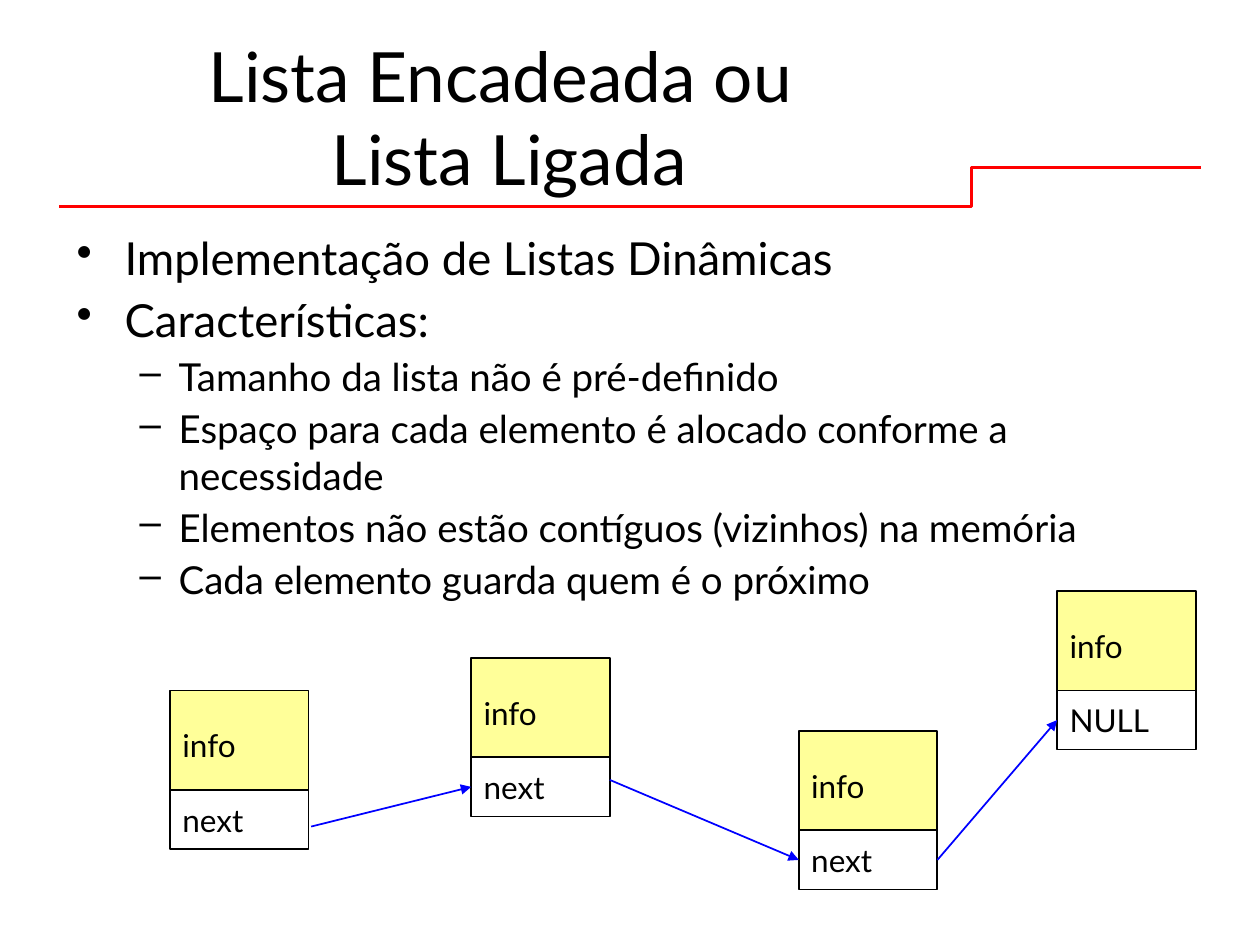
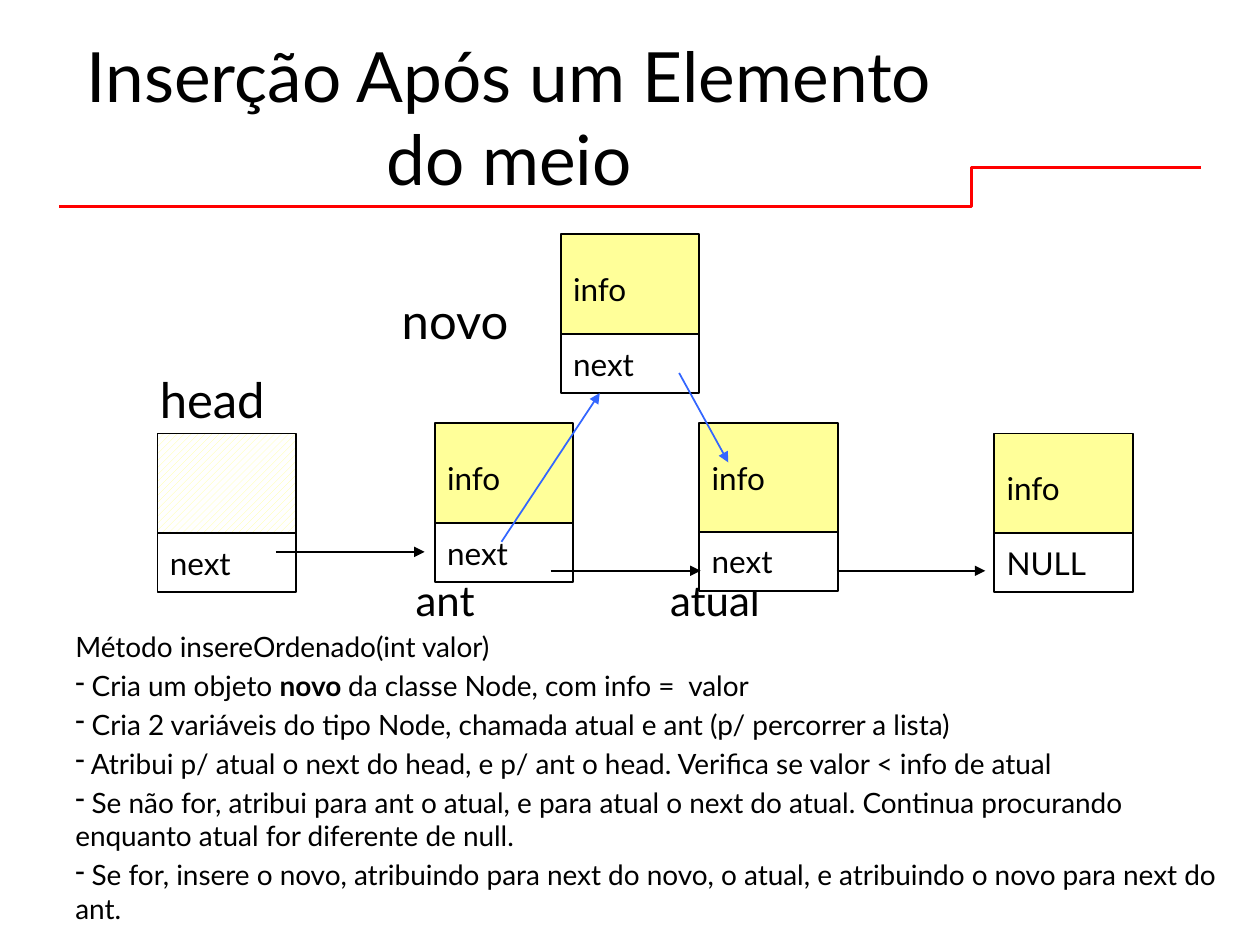
from lxml.etree import SubElement
from pptx import Presentation
from pptx.dml.color import RGBColor
from pptx.enum.dml import MSO_PATTERN
from pptx.enum.shapes import MSO_CONNECTOR as Connector, MSO_SHAPE as Preset
from pptx.enum.text import MSO_ANCHOR as Anchor, PP_ALIGN as Align
from pptx.oxml.ns import qn
from pptx.util import Inches, Pt

FONT = "Lato"
BLACK = RGBColor(0x00, 0x00, 0x00)
WHITE = RGBColor(0xFF, 0xFF, 0xFF)
YELLOW = RGBColor(0xFF, 0xFF, 0x99)
RED = RGBColor(0xFF, 0x00, 0x00)
BLUE = RGBColor(0x00, 0x00, 0xFF)
LIGHT_BLUE = RGBColor(0x33, 0x66, 0xFF)

NODE_WIDTH = 1.1
INFO_HEIGHT = 0.87
POINTER_HEIGHT = 0.47
POINTER_OFFSET = 0.79
TOP, LEFT, BOTTOM, RIGHT = range(4)


def add_run(paragraph, text, size, bold=False):
    """Add one run in the shared font."""
    run = paragraph.add_run()
    run.text = text
    run.font.name = FONT
    run.font.size = Pt(size)
    run.font.bold = bold
    run.font.color.rgb = BLACK


def set_bullet(paragraph, character, margin=0, indent=0):
    """Give a paragraph a bullet character and its indents in inches."""
    properties = paragraph._p.get_or_add_pPr()
    properties.set("marL", str(Inches(margin)))
    properties.set("indent", str(Inches(indent)))
    SubElement(properties, qn("a:buChar")).set("char", character)


def add_text_box(slide, left, top, width, height):
    """Add an empty wrapping text box and return its text frame."""
    box = slide.shapes.add_textbox(Inches(left), Inches(top), Inches(width), Inches(height))
    box.text_frame.word_wrap = True
    return box.text_frame


def next_paragraph(frame, index, space):
    """Return the paragraph at index, spaced from the one before it."""
    if index == 0:
        return frame.paragraphs[0]
    paragraph = frame.add_paragraph()
    paragraph.space_before = Pt(space)
    return paragraph


def add_line(slide, kind, start, end, color, width):
    """Add a connector without shadow between two points."""
    line = slide.shapes.add_connector(kind, *(Inches(value) for value in (*start, *end)))
    line.line.color.rgb = color
    line.line.width = Pt(width)
    SubElement(line._element.spPr, qn("a:effectLst"))
    return line


def add_arrow(slide, start, end, color, source=None, target=None):
    """Add an arrow, joined right of source and left of target when given."""
    arrow = add_line(slide, Connector.STRAIGHT, start, end, color, 1)
    SubElement(arrow.line._get_or_add_ln(), qn("a:tailEnd")).set("type", "triangle")
    if source is not None:
        arrow.begin_connect(source, RIGHT)
    if target is not None:
        arrow.end_connect(target, LEFT)


def add_cell(slide, left, top, height, text, color):
    """Add one bordered cell of a node."""
    cell = slide.shapes.add_shape(
        Preset.RECTANGLE, Inches(left), Inches(top), Inches(NODE_WIDTH), Inches(height))
    cell.shadow.inherit = False
    cell.fill.solid()
    cell.fill.fore_color.rgb = color
    cell.line.color.rgb = BLACK
    cell.line.width = Pt(1)
    if text:
        frame = cell.text_frame
        frame.vertical_anchor = Anchor.MIDDLE
        frame.paragraphs[0].alignment = Align.LEFT
        add_run(frame.paragraphs[0], text, 18)
    return cell


def add_node(slide, left, top, info="info", pointer="next", offset=POINTER_OFFSET):
    """Add a list node and return its info and pointer cells."""
    info_cell = add_cell(slide, left, top, INFO_HEIGHT, info, YELLOW)
    pointer_cell = add_cell(slide, left, top + offset, POINTER_HEIGHT, pointer, WHITE)
    return info_cell, pointer_cell


def add_titled_slide(presentation, *title_lines):
    """Add a blank slide with the stepped red rule and a title."""
    slide = presentation.slides.add_slide(presentation.slide_layouts[6])
    rule = add_line(slide, Connector.ELBOW, (0.47, 1.64), (9.53, 1.33), RED, 1.5)
    guide = SubElement(rule._element.spPr.find(qn("a:prstGeom")).find(qn("a:avLst")), qn("a:gd"))
    guide.set("name", "adj1")
    guide.set("fmla", "val 79900")
    frame = add_text_box(slide, 0.5, 0.3, 7.08, 1.25)
    frame.vertical_anchor = Anchor.MIDDLE
    paragraph = frame.paragraphs[0]
    paragraph.alignment = Align.CENTER
    for index, line in enumerate(title_lines):
        if index:
            paragraph.add_line_break()
        add_run(paragraph, line, 39.6)
    return slide


def add_outline(slide, left, top, width, height, items):
    """Add a two-level bulleted list of (level, text) items."""
    styles = [("•", 0.38, -0.38, 26, 4.2), ("–", 0.81, -0.31, 22, 3.5)]
    frame = add_text_box(slide, left, top, width, height)
    for index, (level, text) in enumerate(items):
        character, margin, indent, size, space = styles[level]
        paragraph = next_paragraph(frame, index, space)
        paragraph.level = level
        set_bullet(paragraph, character, margin, indent)
        add_run(paragraph, text, size)


def add_steps(slide, left, top, width, height, heading, steps):
    """Add a heading and dashed steps, each a list of (text, bold) runs."""
    frame = add_text_box(slide, left, top, width, height)
    add_run(frame.paragraphs[0], heading, 16)
    for index, runs in enumerate(steps, 1):
        paragraph = next_paragraph(frame, index, 3)
        set_bullet(paragraph, "-")
        for text, bold in runs:
            add_run(paragraph, text, 16, bold)


def add_chain(slide, left, top):
    """Draw four scattered nodes, each pointing to the next."""
    places = [(0, 0.79), (2.39, 0.53), (4.99, 1.11), (7.04, 0)]
    pointers = ["next", "next", "next", "NULL"]
    cells = [add_node(slide, left + x, top + y, pointer=pointer)[1]
             for (x, y), pointer in zip(places, pointers)]
    arrows = [
        ((1.12, 1.87), (2.39, 1.55), None, cells[1]),
        ((3.49, 1.5), (4.99, 2.13), None, cells[2]),
        ((6.09, 2.13), (7.04, 1.03), cells[2], cells[3]),
    ]
    for (x1, y1), (x2, y2), source, target in arrows:
        add_arrow(slide, (left + x1, top + y1), (left + x2, top + y2), BLUE, source, target)


def add_insertion(slide, left, top):
    """Draw a list with a new node inserted between two others."""
    labels = [("novo", 1.84, 0.4, 28), ("head", -0.08, 1.02, 28),
              ("ant", 1.95, 2.65, 24), ("atual", 3.97, 2.65, 24)]
    for text, x, y, size in labels:
        frame = add_text_box(slide, left + x, top + y, 1.2, 0.55)
        add_run(frame.paragraphs[0], text, size)

    head_info, _ = add_node(slide, left, top + 1.58, info="")
    head_info.fill.patterned()
    head_info.fill.pattern = MSO_PATTERN.WIDE_UPWARD_DIAGONAL
    head_info.fill.fore_color.rgb = YELLOW
    head_info.fill.back_color.rgb = WHITE
    add_node(slide, left + 4.3, top + 1.5, offset=0.86)
    add_node(slide, left + 6.64, top + 1.58, pointer="NULL")
    add_node(slide, left + 3.2, top)
    add_node(slide, left + 2.2, top + 1.5)

    arrows = [
        ((0.94, 2.52), (2.12, 2.52), BLACK),
        ((3.12, 2.67), (4.31, 2.67), BLACK),
        ((5.39, 2.67), (6.57, 2.67), BLACK),
        ((4.14, 1.1), (4.53, 1.81), LIGHT_BLUE),
        ((2.73, 2.44), (3.51, 1.26), LIGHT_BLUE),
    ]
    for (x1, y1), (x2, y2), color in arrows:
        add_arrow(slide, (left + x1, top + y1), (left + x2, top + y2), color)


def build_linked_list_slide(presentation):
    """Build the slide that introduces the linked list."""
    slide = add_titled_slide(presentation, "Lista Encadeada ou ", "Lista Ligada")
    add_outline(slide, 0.51, 1.78, 8.98, 3.15, [
        (0, "Implementação de Listas Dinâmicas"),
        (0, "Características:"),
        (1, "Tamanho da lista não é pré-definido"),
        (1, "Espaço para cada elemento é alocado conforme a necessidade"),
        (1, "Elementos não estão contíguos (vizinhos) na memória"),
        (1, "Cada elemento guarda quem é o próximo"),
    ])
    add_chain(slide, 1.35, 4.69)


def build_insertion_slide(presentation):
    """Build the slide on inserting in the middle of the list."""
    slide = add_titled_slide(presentation, "Inserção Após um Elemento do meio")
    add_insertion(slide, 1.25, 1.86)
    add_steps(slide, 0.5, 4.95, 9.27, 2.5, "Método insereOrdenado(int valor)", [
        [(" Cria um objeto ", False), ("novo ", True),
         ("da classe Node, com info =  valor", False)],
        [(" Cria 2 variáveis do tipo Node, chamada atual e ant (p/ percorrer a lista)", False)],
        [(" Atribui p/ atual o next do head, e p/ ant o head. "
          "Verifica se valor < info de atual", False)],
        [(" Se não for, atribui para ant o atual, e para atual o next do atual. "
          "Continua procurando enquanto atual for diferente de null.", False)],
        [(" Se for, insere o novo, atribuindo para next do novo, o atual, "
          "e atribuindo o novo para next do ant.", False)],
    ])


def main():
    """Build and save the presentation."""
    presentation = Presentation()
    presentation.slide_width = Inches(10)
    presentation.slide_height = Inches(7.5)
    build_linked_list_slide(presentation)
    build_insertion_slide(presentation)
    presentation.save("out.pptx")


if __name__ == "__main__":
    main()
